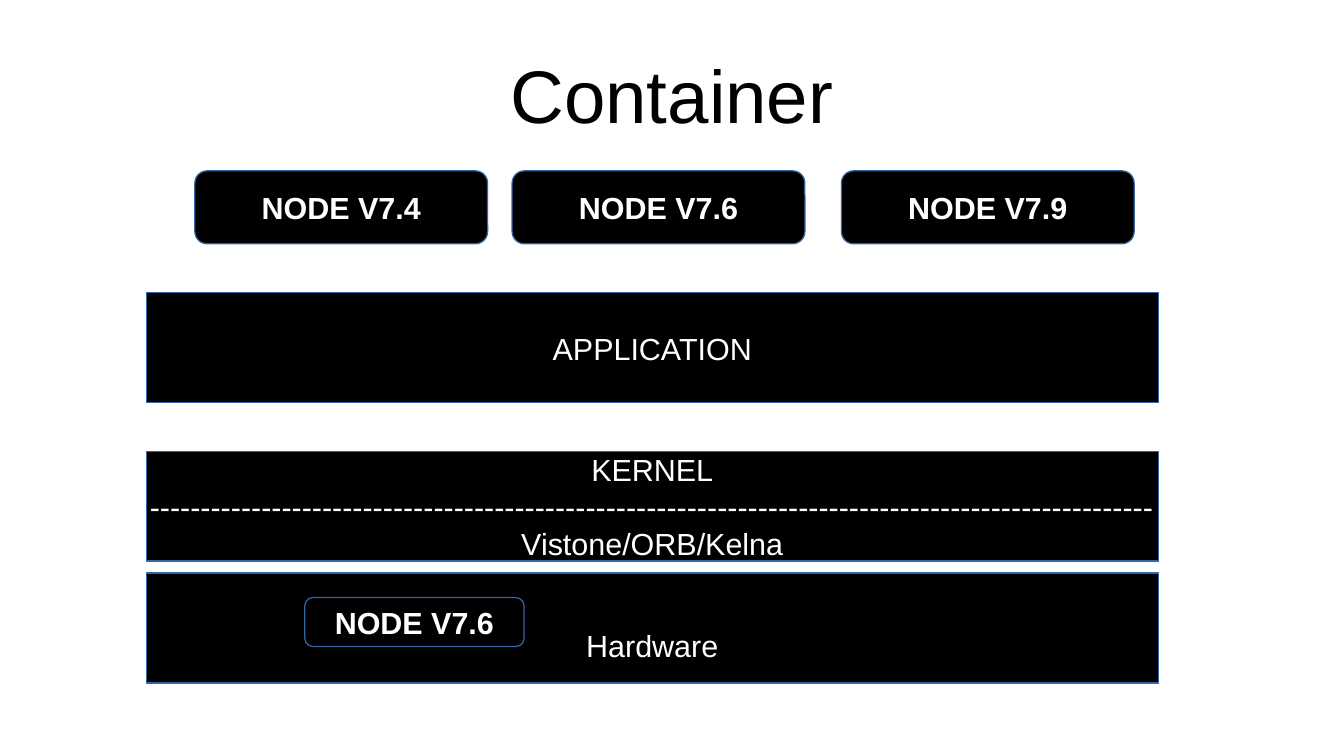
"""Build the Container slide: node versions above the application, kernel and hardware layers."""
from pptx import Presentation
from pptx.dml.color import RGBColor
from pptx.enum.shapes import MSO_SHAPE
from pptx.enum.text import MSO_ANCHOR, PP_ALIGN
from pptx.util import Cm, Pt

RECTANGLE = MSO_SHAPE.RECTANGLE
ROUNDED = MSO_SHAPE.ROUNDED_RECTANGLE
MIDDLE = MSO_ANCHOR.MIDDLE
CENTER = PP_ALIGN.CENTER

COLORS = {"box": "000000", "outline": "3465A4", "text": "FFFFFF", "title": "000000"}
FONT = "Arial"
TITLE = "Container"
DIVIDER = "-" * 99

LAYER_LEFT, LAYER_WIDTH, LAYER_HEIGHT = 3.05, 21.08, 2.29
LAYERS = [
    (6.1, ["APPLICATION"], 0.13),
    (11.94, ["Hardware"], 0.86),
    (9.4, ["KERNEL", DIVIDER, "Vistone/ORB/Kelna"], 0.13),
]
NODE_TOP, NODE_WIDTH, NODE_HEIGHT = 3.56, 6.1, 1.52
NODES = [(4.06, "NODE V7.4"), (10.67, "NODE V7.6"), (17.53, "NODE V7.9")]
HARDWARE_NODE = ("NODE V7.6", (6.35, 12.45, 4.57, 1.02))


def color(name):
    return RGBColor.from_string(COLORS[name])


def write_lines(frame, lines, size, color_name, bold=False):
    frame.text = "\n".join(lines)
    frame.vertical_anchor = MIDDLE
    for paragraph in frame.paragraphs:
        paragraph.alignment = CENTER
        font = paragraph.font
        font.name, font.size, font.bold = FONT, Pt(size), bold
        font.color.rgb = color(color_name)


def add_box(slide, kind, box, lines, bold=False, top_inset=0.13):
    shape = slide.shapes.add_shape(kind, *map(Cm, box))
    shape.shadow.inherit = False
    shape.fill.solid()
    shape.fill.fore_color.rgb = color("box")
    shape.line.color.rgb = color("outline")
    shape.line.width = Pt(0)
    frame = shape.text_frame
    frame.word_wrap = False
    frame.margin_top = Cm(top_inset)
    write_lines(frame, lines, 18, "text", bold)


presentation = Presentation()
presentation.slide_width, presentation.slide_height = Cm(28), Cm(15.75)
slide = presentation.slides.add_slide(presentation.slide_layouts[5])

title = slide.shapes.title
title.left, title.top, title.width, title.height = map(Cm, (1.4, 0.64, 25.2, 2.64))
title_frame = title.text_frame
title_frame.margin_left = title_frame.margin_right = 0
title_frame.margin_top = title_frame.margin_bottom = 0
write_lines(title_frame, [TITLE], 44, "title")

for top, lines, top_inset in LAYERS:
    box = (LAYER_LEFT, top, LAYER_WIDTH, LAYER_HEIGHT)
    add_box(slide, RECTANGLE, box, lines, top_inset=top_inset)

nodes = [(label, (left, NODE_TOP, NODE_WIDTH, NODE_HEIGHT)) for left, label in NODES]
for label, box in nodes + [HARDWARE_NODE]:
    add_box(slide, ROUNDED, box, [label], bold=True)

presentation.save("out.pptx")
